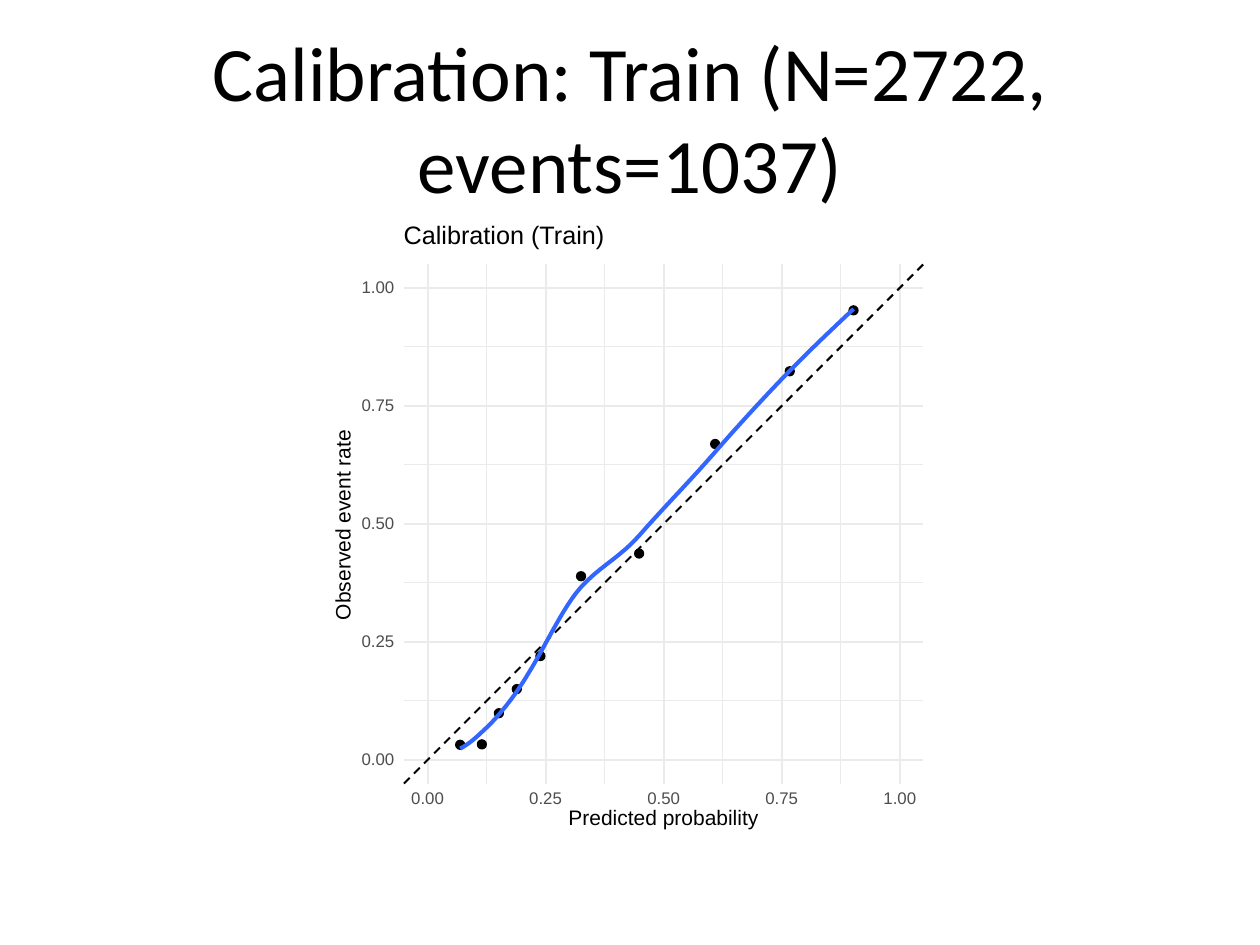
import itertools

import pptx
import pptx.dml.color
import pptx.enum.dml
import pptx.enum.shapes
import pptx.enum.text
import pptx.oxml
import pptx.oxml.ns
import pptx.util
from pptx.util import Cm

COLORS = {"ink": "000000", "paper": "FFFFFF", "grid": "EBEBEB",
          "curve": "3366FF", "tick": "4D4D4D"}
RGB = {name: pptx.dml.color.RGBColor.from_string(value) for name, value in COLORS.items()}

# Plot scale, in cm: both axes show 0 to 100 percent, with a margin of 5
ORIGIN_X, ORIGIN_Y = 8.62, 15.32
AXIS_LENGTH = 9.52
LOW, HIGH = -5, 105
MAJOR_TICKS = range(0, 101, 25)
MINOR_TICKS = [tick + 12.5 for tick in MAJOR_TICKS[:-1]]
THIN, THICK = 0.58, 1.16

# Each bin, in percent: predicted probability, observed event rate,
# then the height and the slope of the smooth curve there
BINS = [
    (6.9, 3.2, 2.4, 0.5),
    (11.5, 3.3, 5.9, 0.95),
    (15.1, 9.9, 9.6, 1.2),
    (18.9, 15, 14.5, 1.46),
    (23.9, 22, 22.7, 1.8),
    (32.5, 38.9, 36.6, 1.1),
    (44.8, 43.7, 47.5, 1.14),
    (60.9, 66.9, 65.2, 1.15),
    (76.7, 82.3, 82.4, 1.03),
    (90.2, 95.2, 95.5, 0.95),
]
STEPS_PER_BIN = 9

deck = pptx.Presentation()
deck.slide_width, deck.slide_height = Cm(25.4), Cm(19.05)
page = deck.slides.add_slide(deck.slide_layouts[5])


def place(x, y):
    """Turn percent values into a place on the slide."""
    return (Cm(ORIGIN_X + x / 100 * AXIS_LENGTH),
            Cm(ORIGIN_Y - y / 100 * AXIS_LENGTH))


def add_text(text, left, top, width, height, size=12, color="ink", rotation=0):
    """Add one line of plot text; lengths are in cm."""
    box = plot.add_textbox(Cm(left), Cm(top), Cm(width), Cm(height))
    box.rotation = rotation
    frame = box.text_frame
    frame.word_wrap = False
    frame.vertical_anchor = pptx.enum.text.MSO_ANCHOR.MIDDLE
    frame.margin_left = frame.margin_right = frame.margin_top = frame.margin_bottom = 0
    para = frame.paragraphs[0]
    para.line_spacing = pptx.util.Pt(size)
    span = para.add_run()
    span.text = text
    span.font.name = "Arial"
    span.font.size = pptx.util.Pt(size)
    span.font.color.rgb = RGB[color]


# Title
title = page.shapes.title
title.left, title.top, title.width, title.height = Cm(1.27), Cm(0.76), Cm(22.86), Cm(3.18)
title.text_frame.text = "Calibration: Train (N=2722, events=1037)"
title.text_frame.vertical_anchor = pptx.enum.text.MSO_ANCHOR.MIDDLE
heading = title.text_frame.paragraphs[0]
heading.alignment = pptx.enum.text.PP_ALIGN.CENTER
heading.font.name = "Calibri"
heading.font.size = pptx.util.Pt(44)
heading.font.color.rgb = RGB["ink"]

# Plot backgrounds
plot = page.shapes.add_group_shape().shapes
for left, width, outlined in [(1.27, 22.86, True), (6.58, 12.24, False)]:
    panel = plot.add_shape(pptx.enum.shapes.MSO_SHAPE.RECTANGLE,
                           Cm(left), Cm(4.45), Cm(width), Cm(12.57))
    panel.shadow.inherit = False
    panel.fill.solid()
    panel.fill.fore_color.rgb = RGB["paper"]
    if outlined:
        panel.line.color.rgb = RGB["paper"]
        panel.line.width = pptx.util.Pt(0.75)
    else:
        panel.line.fill.background()

# Grid lines, minor before major, then the dashed line of perfect calibration
lines = []
for ticks, weight in [(MINOR_TICKS, THIN), (MAJOR_TICKS, THICK)]:
    lines += [((LOW, tick), (HIGH, tick), weight, "grid") for tick in ticks]
    lines += [((tick, LOW), (tick, HIGH), weight, "grid") for tick in ticks]
lines.append(((LOW, LOW), (HIGH, HIGH), THICK, "ink"))
for start, end, weight, color in lines:
    line = plot.add_connector(pptx.enum.shapes.MSO_CONNECTOR.STRAIGHT,
                              *place(*start), *place(*end))
    line.line.color.rgb = RGB[color]
    line.line.width = pptx.util.Pt(weight)
    if color == "ink":
        line.line.dash_style = pptx.enum.dml.MSO_LINE.DASH
    line.element.spPr.append(pptx.oxml.parse_xml(
        f'<a:effectLst {pptx.oxml.ns.nsdecls("a")}/>'))

# One dot for each bin
diameter = Cm(0.18)
for predicted, observed, height, slope in BINS:
    x, y = place(predicted, observed)
    dot = plot.add_shape(pptx.enum.shapes.MSO_SHAPE.OVAL, x - diameter // 2,
                         y - diameter // 2, diameter, diameter)
    dot.shadow.inherit = False
    dot.fill.solid()
    dot.fill.fore_color.rgb = RGB["ink"]
    dot.line.color.rgb = RGB["ink"]
    dot.line.width = pptx.util.Pt(0.77)

# Smooth curve: a cubic Hermite piece from each bin to the next
points = [place(BINS[0][0], BINS[0][2])]
for (x0, _, y0, slope0), (x1, _, y1, slope1) in itertools.pairwise(BINS):
    gap = x1 - x0
    for step in range(1, STEPS_PER_BIN + 1):
        t = step / STEPS_PER_BIN
        blend = t * t * (3 - 2 * t)
        bend = gap * t * (1 - t) * (slope0 * (1 - t) - slope1 * t)
        points.append(place(x0 + gap * t, y0 + (y1 - y0) * blend + bend))
builder = plot.build_freeform(*points[0])
builder.add_line_segments(points[1:], close=False)
curve = builder.convert_to_shape()
curve.shadow.inherit = False
curve.fill.background()
curve.line.color.rgb = RGB["curve"]
curve.line.width = pptx.util.Pt(2.33)

# Tick labels
for tick in MAJOR_TICKS:
    label = f"{tick / 100:.2f}"
    offset = tick / 100 * AXIS_LENGTH
    add_text(label, 7.29, ORIGIN_Y - offset - 0.11, 0.66, 0.26, size=9.6, color="tick")
    add_text(label, ORIGIN_X + offset - 0.33, 15.98, 0.66, 0.26, size=9.6, color="tick")

# Axis titles and plot title
add_text("Predicted probability", 11.46, 16.33, 3.84, 0.38)
add_text("Observed event rate", 5.02, 10.43, 3.84, 0.3, rotation=270)
add_text("Calibration (Train)", 8.14, 4.53, 4.06, 0.48, size=14.4)

deck.save("out.pptx")
